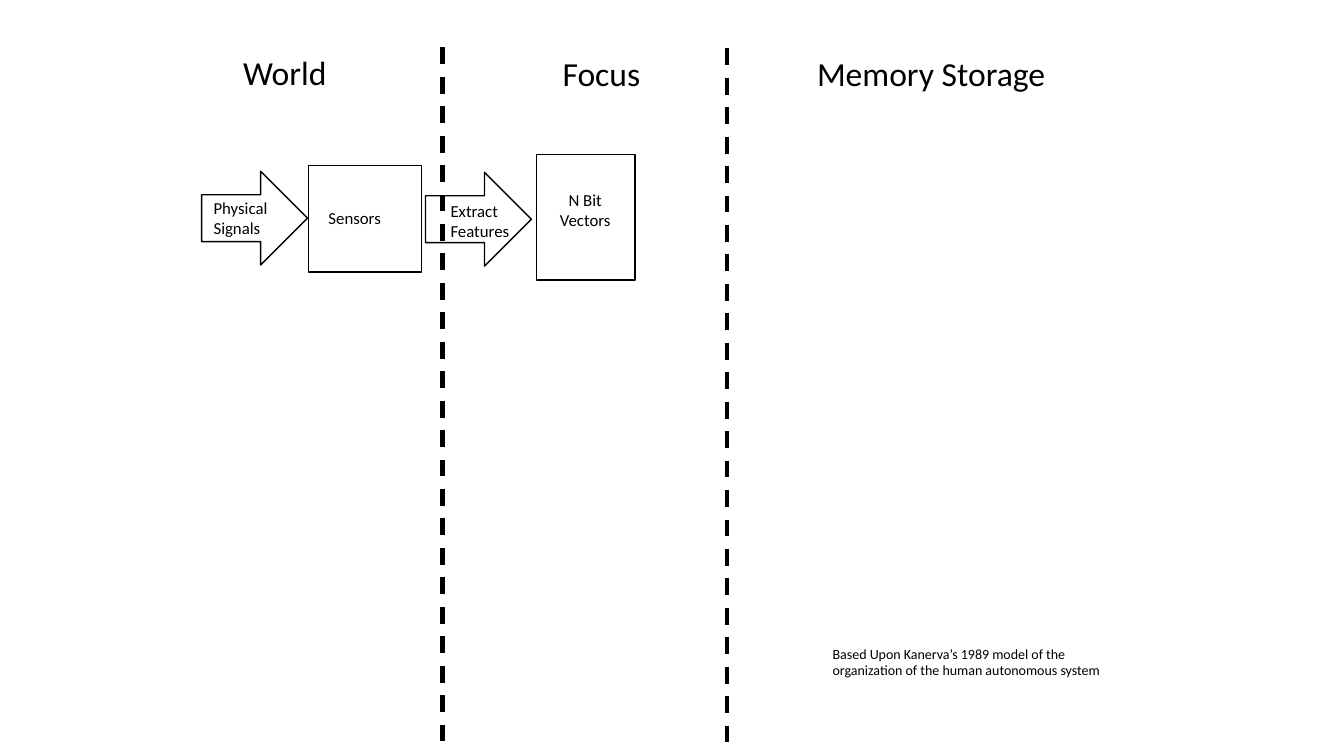
from lxml.etree import SubElement
from pptx import Presentation
from pptx.dml.color import RGBColor
from pptx.enum.dml import MSO_LINE
from pptx.enum.shapes import MSO_CONNECTOR, MSO_SHAPE
from pptx.enum.text import MSO_AUTO_SIZE, PP_ALIGN
from pptx.oxml.ns import qn
from pptx.util import Inches, Pt

FONT = "Calibri"
BLACK = "000000"


def color(hex_string):
    return RGBColor.from_string(hex_string)


def add_label(shapes, box, text, size, align=PP_ALIGN.LEFT):
    sp = shapes.add_textbox(*map(Inches, box))
    tf = sp.text_frame
    tf.word_wrap = True
    tf.auto_size = MSO_AUTO_SIZE.SHAPE_TO_FIT_TEXT
    tf.text = text
    p = tf.paragraphs[0]
    p.alignment = align
    r = p.runs[0]
    r.font.name = FONT
    r.font.size = Pt(size)
    r.font.color.rgb = color(BLACK)


def add_outline(shapes, kind, box):
    sp = shapes.add_shape(kind, *map(Inches, box))
    sp.shadow.inherit = False
    sp.fill.background()
    sp.line.color.rgb = color(BLACK)
    sp.line.width = Pt(1)


def add_divider(shapes, x, top, bottom):
    line = shapes.add_connector(
        MSO_CONNECTOR.STRAIGHT, Inches(x), Inches(top), Inches(x), Inches(bottom))
    line.line.color.rgb = color(BLACK)
    line.line.width = Pt(3)
    line.line.dash_style = MSO_LINE.DASH
    SubElement(line._element.spPr, qn("a:effectLst"))


def add_headings(shapes, top):
    for text, left, width, drop in [
        ("World", 1.67, 2.31, 0),
        ("Focus", 4.81, 2.31, 0.01),
        ("Memory Storage", 7.63, 3.21, 0.01),
    ]:
        add_label(shapes, (left, top + drop, width, 0.5), text, 24, PP_ALIGN.CENTER)


def add_flow(shapes, left, top):
    group = shapes.add_group_shape().shapes
    arrow, rect = MSO_SHAPE.RIGHT_ARROW, MSO_SHAPE.RECTANGLE
    steps = [
        (arrow, (0, 0.17, 1.05, 0.93),
         "Physical Signals", (0.02, 0.38, 1.04, 0.5), PP_ALIGN.LEFT),
        (rect, (1.06, 0.11, 1.12, 1.06),
         "Sensors", (1.16, 0.48, 1.04, 0.3), PP_ALIGN.LEFT),
        (arrow, (2.22, 0.18, 1.05, 0.93),
         "Extract Features", (2.37, 0.41, 1.12, 0.5), PP_ALIGN.LEFT),
        (rect, (3.32, 0, 0.98, 1.25),
         "N Bit Vectors", (3.29, 0.3, 1.03, 0.5), PP_ALIGN.CENTER),
    ]
    for kind, (x, y, w, h), text, (tx, ty, tw, th), align in steps:
        add_outline(group, kind, (left + x, top + y, w, h))
        add_label(group, (left + tx, top + ty, tw, th), text, 12, align)


def main():
    prs = Presentation()
    prs.slide_width = Inches(13.33)
    prs.slide_height = Inches(7.5)
    s = prs.slides.add_slide(prs.slide_layouts[6])
    add_label(
        s.shapes, (8.16, 6.35, 3.15, 0.44),
        "Based Upon Kanerva’s 1989 model of the organization of the human autonomous system",
        10)
    add_headings(s.shapes, 0.47)
    add_divider(s.shapes, 4.39, 0.47, 7.39)
    add_divider(s.shapes, 7.21, 0.48, 7.39)
    add_flow(s.shapes, 2, 1.53)
    prs.save("out.pptx")


if __name__ == "__main__":
    main()
